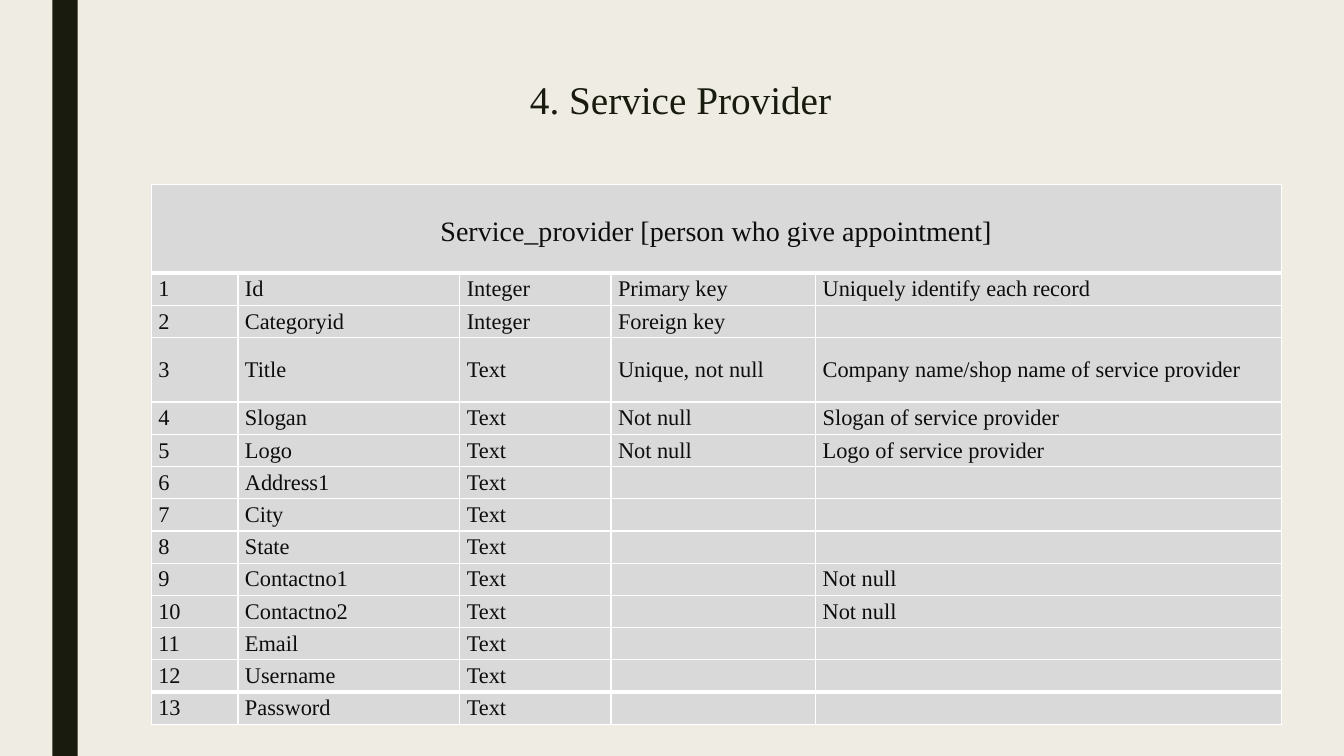
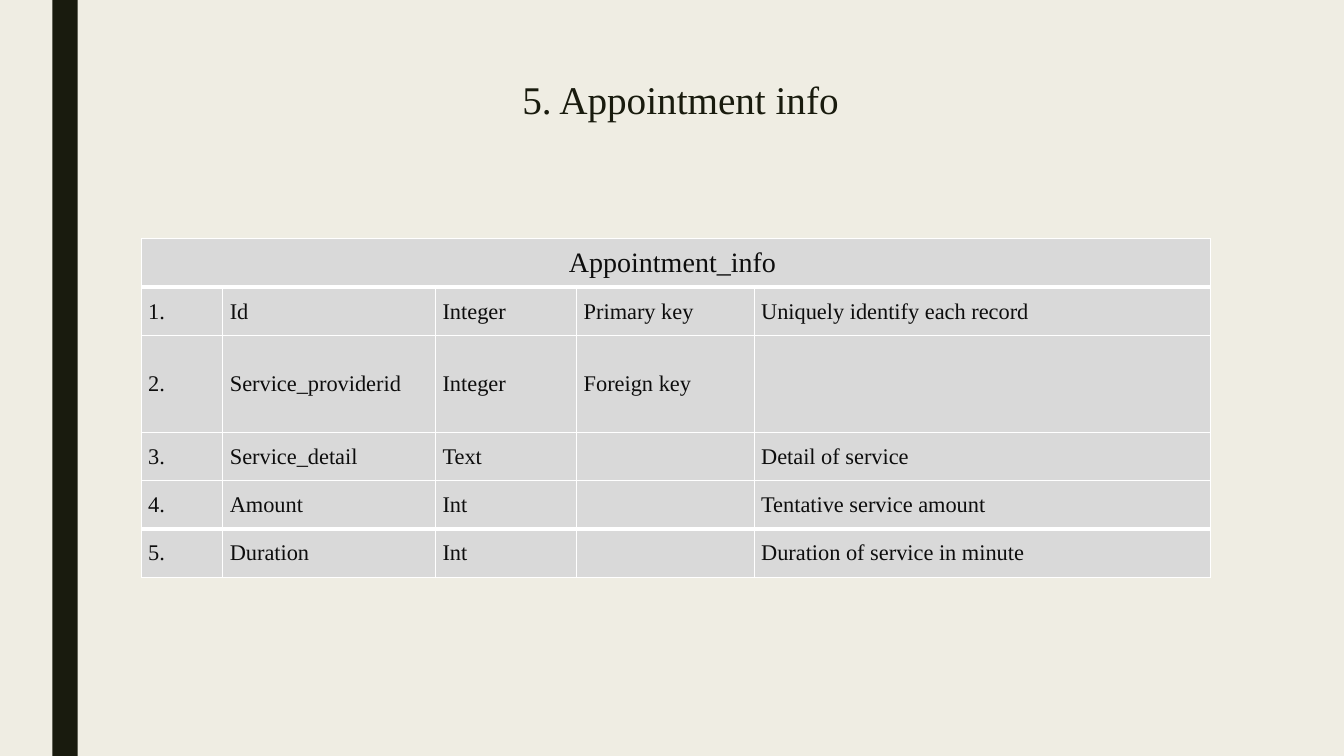
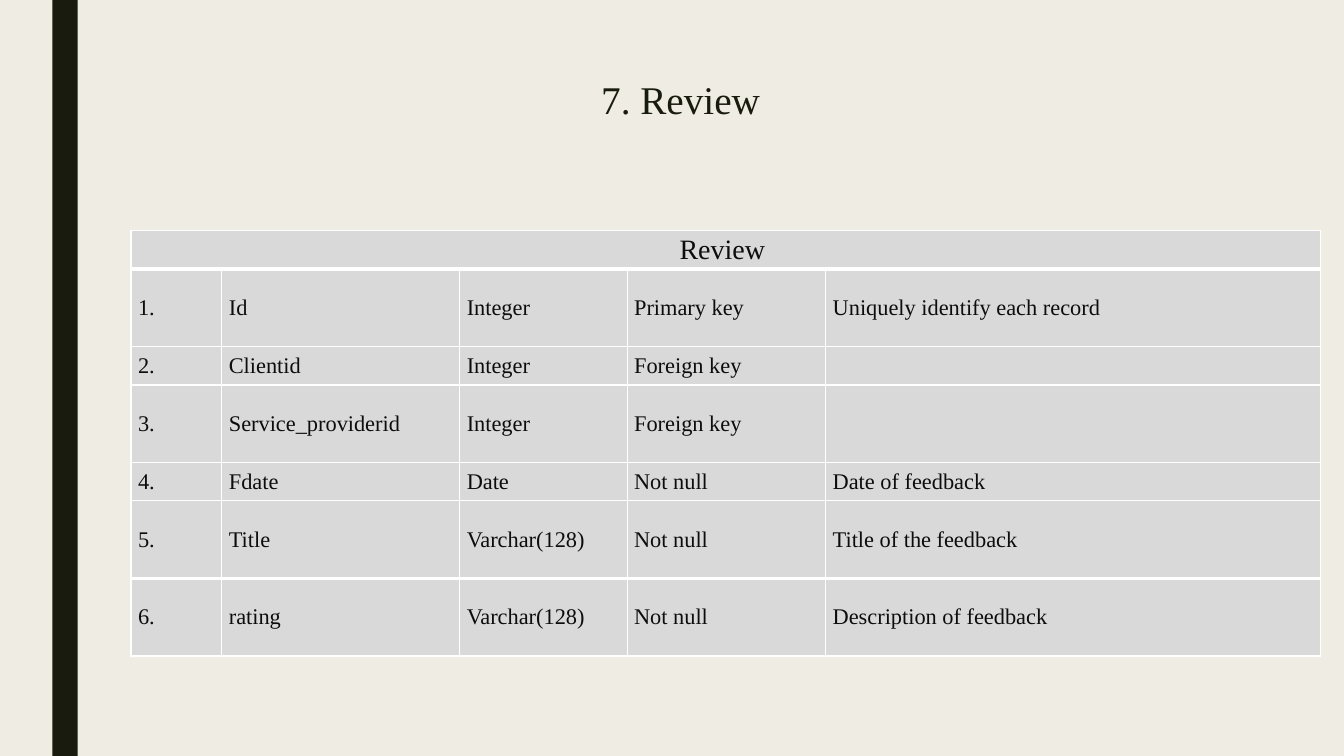
from pptx import Presentation
from pptx.dml.color import RGBColor
from pptx.enum.shapes import MSO_SHAPE as Shape
from pptx.enum.text import MSO_ANCHOR as Anchor, MSO_AUTO_SIZE as AutoSize, PP_ALIGN as Align
from pptx.oxml.ns import qn
from pptx.util import Inches, Pt
from lxml.etree import SubElement

CREAM = RGBColor(0xEF, 0xED, 0xE3)
DARK = RGBColor(0x19, 0x1B, 0x0E)
INK = RGBColor(0x0D, 0x0D, 0x0D)
GREY = RGBColor(0xD9, 0xD9, 0xD9)
WHITE = RGBColor(0xFF, 0xFF, 0xFF)
FONT = "Times New Roman"
TITLE_ONLY = 5

PROVIDER_FIELDS = [
    ("Id", "Integer", "Primary key", "Uniquely identify each record"),
    ("Categoryid", "Integer", "Foreign key", ""),
    ("Title", "Text", "Unique, not null", "Company name/shop name of service provider"),
    ("Slogan", "Text", "Not null", "Slogan of service provider"),
    ("Logo", "Text", "Not null", "Logo of service provider"),
    ("Address1", "Text", "", ""),
    ("City", "Text", "", ""),
    ("State", "Text", "", ""),
    ("Contactno1", "Text", "", "Not null"),
    ("Contactno2", "Text", "", "Not null"),
    ("Email", "Text", "", ""),
    ("Username", "Text", "", ""),
    ("Password", "Text", "", ""),
]
APPOINTMENT_FIELDS = [
    ("Id", "Integer", "Primary key", "Uniquely identify each record"),
    ("Service_providerid", "Integer", "Foreign key", ""),
    ("Service_detail", "Text", "", "Detail of service"),
    ("Amount", "Int", "", "Tentative service amount"),
    ("Duration", "Int", "", "Duration of service in minute"),
]
REVIEW_FIELDS = [
    ("Id", "Integer", "Primary key", "Uniquely identify each record"),
    ("Clientid", "Integer", "Foreign key", ""),
    ("Service_providerid", "Integer", "Foreign key", ""),
    ("Fdate", "Date", "Not null", "Date of feedback"),
    ("Title", "Varchar(128)", "Not null", "Title of the feedback"),
    ("rating", "Varchar(128)", "Not null", "Description of feedback"),
]


class SchemaDeck:
    """Holds the deck style and the slide being built."""

    def __init__(self):
        self.deck = Presentation()
        self.deck.slide_width = Inches(13.33)
        self.deck.slide_height = Inches(7.5)
        backdrop = self.deck.slide_master.background.fill
        backdrop.solid()
        backdrop.fore_color.rgb = CREAM
        self.slide = None

    def new_slide(self, title, title_height=1.62):
        self.slide = self.deck.slides.add_slide(self.deck.slide_layouts[TITLE_ONLY])
        self.band()
        self.title(title, title_height)

    def band(self):
        band = self.slide.shapes.add_shape(
            Shape.RECTANGLE, Inches(0.52), 0, Inches(0.25), self.deck.slide_height)
        band.shadow.inherit = False
        band.fill.solid()
        band.fill.fore_color.rgb = DARK
        band.line.fill.background()

    def title(self, text, height):
        title = self.slide.shapes.title
        title.left, title.top = Inches(1.5), Inches(0.75)
        title.width, title.height = Inches(10.5), Inches(height)
        frame = title.text_frame
        frame.auto_size = AutoSize.NONE
        frame.vertical_anchor = Anchor.TOP
        paragraph = frame.paragraphs[0]
        paragraph.line_spacing = 0.89
        self.styled_run(paragraph, text, 28, DARK, Align.CENTER)

    def styled_run(self, paragraph, text, size, color=INK, align=Align.LEFT):
        paragraph.alignment = align
        run = paragraph.add_run()
        run.text = text
        run.font.name = FONT
        run.font.size = Pt(size)
        run.font.color.rgb = color

    def borders(self, cell, top, bottom):
        properties = cell._tc.get_or_add_tcPr()
        for side, width in (("L", 1), ("R", 1), ("T", top), ("B", bottom)):
            line = SubElement(properties, qn(f"a:ln{side}"), w=str(Pt(width)))
            fill = SubElement(line, qn("a:solidFill"))
            SubElement(fill, qn("a:srgbClr"), val=str(WHITE))

    def style_cell(self, cell, top, bottom):
        self.borders(cell, top, bottom)
        cell.fill.solid()
        cell.fill.fore_color.rgb = GREY
        cell.vertical_anchor = Anchor.MIDDLE
        cell.margin_left = cell.margin_right = Inches(0.07)
        cell.margin_top = cell.margin_bottom = 0

    def field_table(self, heading, fields, left, top, columns, heights,
                    number="{}.", heading_drop=0.0):
        frame = self.slide.shapes.add_table(
            len(heights), len(columns), Inches(left), Inches(top),
            Inches(sum(columns)), Inches(sum(heights)))
        table = frame.table
        table.first_row = table.horz_banding = False
        for column, width in zip(table.columns, columns):
            column.width = Inches(width)
        last = len(fields)
        for index, height in enumerate(heights):
            table.rows[index].height = Inches(height)
            for cell in table.rows[index].cells:
                self.style_cell(cell, top=3 if index in (1, last) else 1,
                                bottom=3 if index in (0, last - 1) else 1)
        banner = table.cell(0, 0)
        banner.merge(table.cell(0, len(columns) - 1))
        banner.margin_top = Inches(heading_drop)
        self.styled_run(banner.text_frame.paragraphs[0], heading, 20, align=Align.CENTER)
        for index, field in enumerate(fields, 1):
            label = number.format(index)
            for cell, text in zip(table.rows[index].cells, (label, *field)):
                if text:
                    self.styled_run(cell.text_frame.paragraphs[0], text, 16)


def main():
    schema = SchemaDeck()

    schema.new_slide("4. Service Provider", title_height=0.81)
    schema.field_table(
        "Service_provider [person who give appointment]", PROVIDER_FIELDS, 1.5, 1.83,
        columns=[0.86, 2.2, 1.5, 2.03, 4.62],
        heights=[0.88, 0.32, 0.32, 0.64] + [0.32] * 10,
        number="{}", heading_drop=0.06)

    schema.new_slide("5. Appointment info")
    schema.field_table(
        "Appointment_info ", APPOINTMENT_FIELDS, 1.4, 2.37,
        columns=[0.81, 2.11, 1.4, 1.76, 4.53],
        heights=[0.48, 0.48, 0.96] + [0.48] * 3)

    schema.new_slide("7. Review")
    schema.field_table(
        "Review ", REVIEW_FIELDS, 1.3, 2.29,
        columns=[0.9, 2.36, 1.66, 1.97, 4.91],
        heights=[0.38, 0.77] * 3 + [0.77])

    schema.deck.save("out.pptx")


if __name__ == "__main__":
    main()
